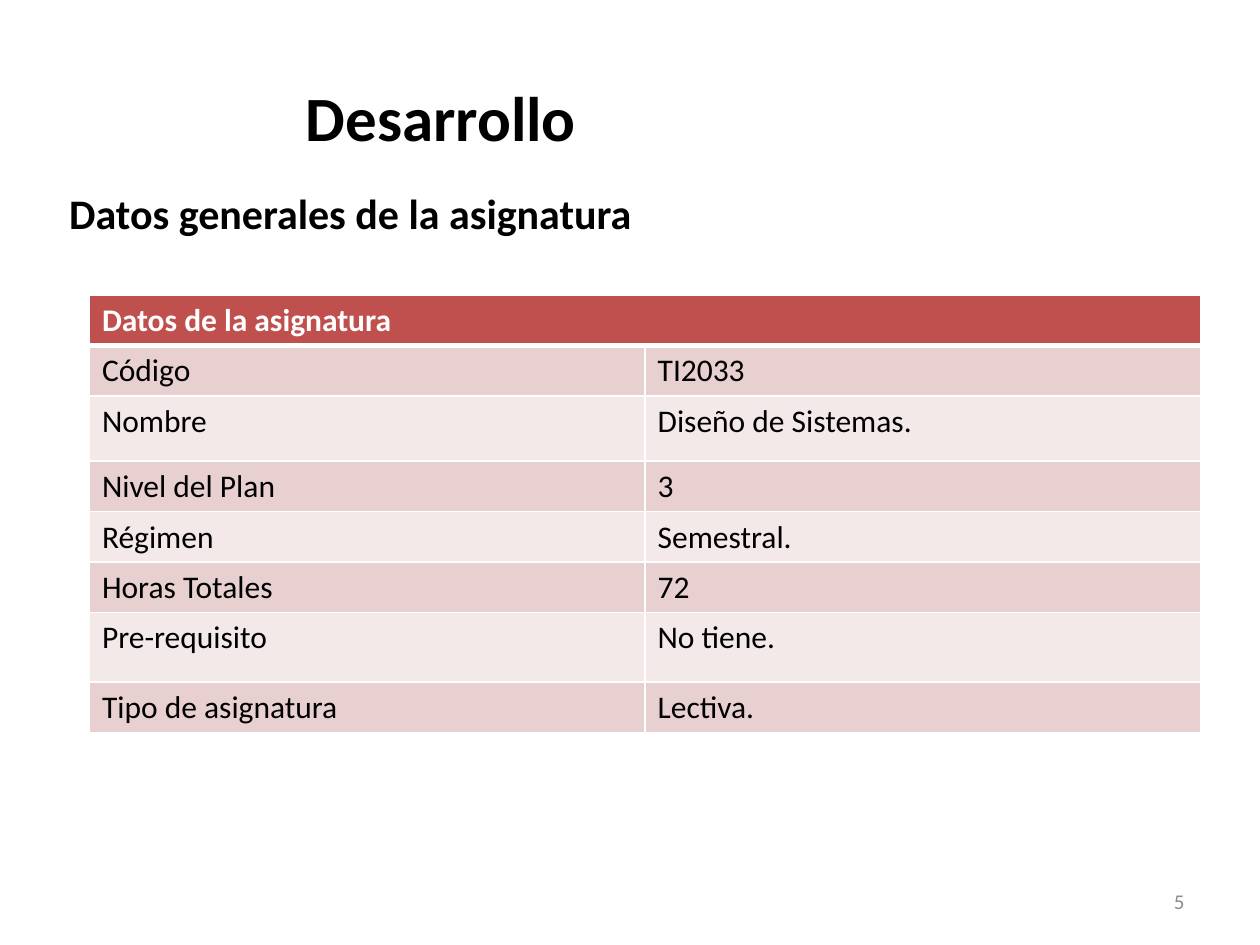
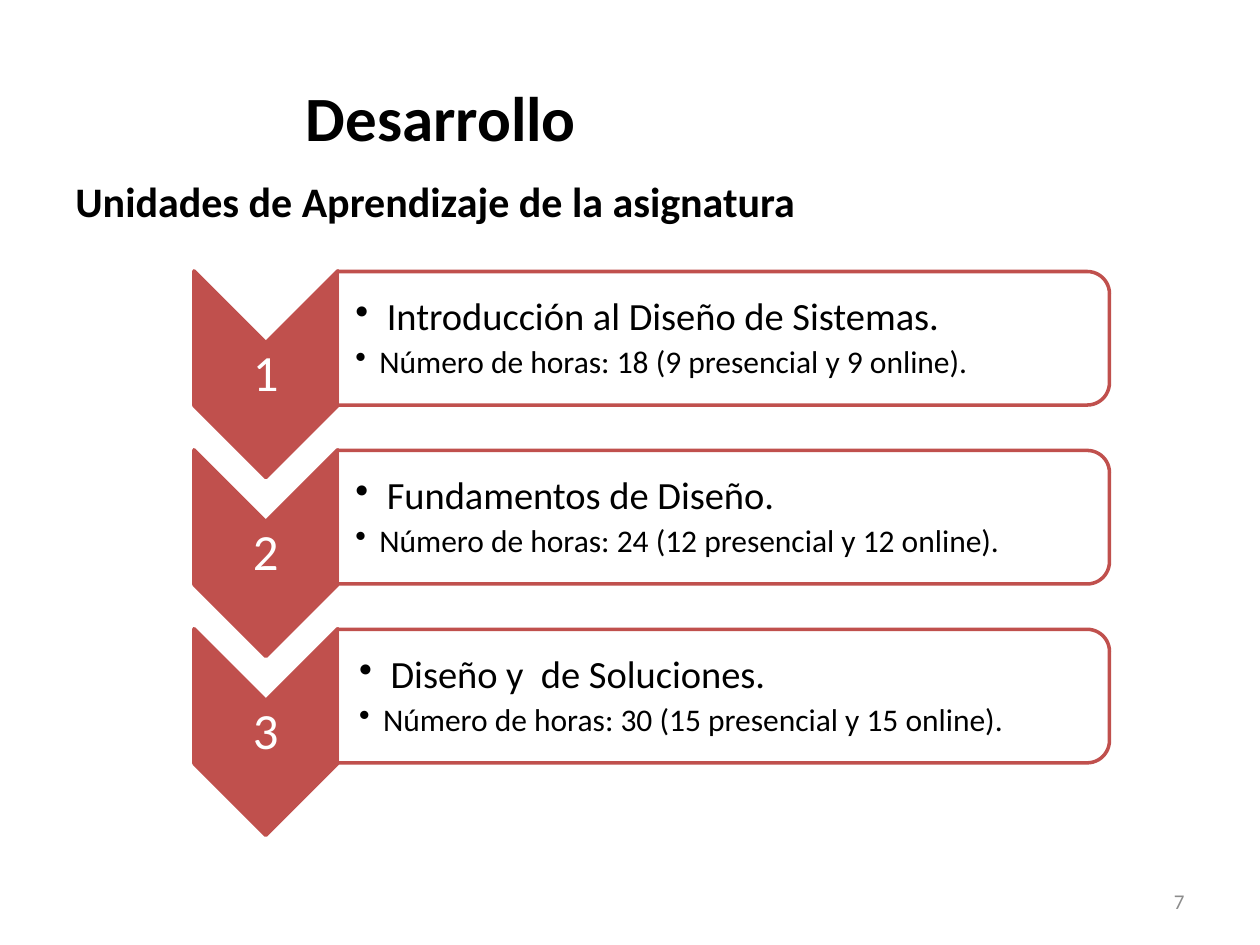
"""Build two course slides: subject data table and learning units."""
import pptx
import pptx.dml.color
import pptx.enum.shapes
import pptx.enum.text
import pptx.oxml
import pptx.oxml.ns
import pptx.util
from lxml import etree

Inches = pptx.util.Inches
Pt = pptx.util.Pt
RGBColor = pptx.dml.color.RGBColor
Shape = pptx.enum.shapes.MSO_SHAPE
Align = pptx.enum.text.PP_ALIGN
Anchor = pptx.enum.text.MSO_ANCHOR
qn = pptx.oxml.ns.qn

FONT = "Calibri"
BLACK = RGBColor(0x00, 0x00, 0x00)
WHITE = RGBColor(0xFF, 0xFF, 0xFF)
GREY = RGBColor(0x8C, 0x8C, 0x8C)
RED = RGBColor(0xC0, 0x50, 0x4D)
ROSE = RGBColor(0xE8, 0xD0, 0xD0)
PALE_ROSE = RGBColor(0xF4, 0xE9, 0xE9)

SUBJECT_ROWS = [
    ("Datos de la asignatura", ""),
    ("Código", "TI2033"),
    ("Nombre", "Diseño de Sistemas."),
    ("Nivel del Plan", "3"),
    ("Régimen", "Semestral."),
    ("Horas Totales", "72"),
    ("Pre-requisito", "No tiene."),
    ("Tipo de asignatura", "Lectiva."),
]
ROW_HEIGHTS = [0.4, 0.4, 0.52, 0.4, 0.4, 0.4, 0.55, 0.4]

UNITS = [
    ("Introducción al Diseño de Sistemas.",
     "Número de horas: 18 (9 presencial y 9 online).", 0.14),
    ("Fundamentos de Diseño.",
     "Número de horas: 24 (12 presencial y 12 online).", 0.14),
    ("Diseño y  de Soluciones.",
     "Número de horas: 30 (15 presencial y 15 online).", 0.17),
]
UNIT_STEP = 1.42


def style_paragraph(para, size, color=BLACK, bold=False, align=Align.LEFT):
    """Format a paragraph and all its runs."""
    para.alignment = align
    for span in para.runs:
        span.font.name = FONT
        span.font.size = Pt(size)
        span.font.bold = bold
        span.font.color.rgb = color


def add_text(page, text, place, size, anchor=Anchor.MIDDLE, inset=None, **style):
    """Add a wrapped text box at (left, top, width, height) in inches."""
    box = page.shapes.add_textbox(*map(Inches, place))
    frame = box.text_frame
    frame.word_wrap = True
    frame.vertical_anchor = anchor
    if inset:
        (frame.margin_left, frame.margin_top,
         frame.margin_right, frame.margin_bottom) = map(Inches, inset)
    frame.text = text
    for para in frame.paragraphs:
        style_paragraph(para, size, **style)
    return box


def add_page(deck, subtitle, subtitle_left, subtitle_top, number):
    """Add a blank page with the shared title, subtitle and page number."""
    page = deck.slides.add_slide(deck.slide_layouts[6])
    add_text(page, "Desarrollo", (0.5, 0.3, 6, 1.25), 36,
             bold=True, align=Align.CENTER)
    heading = add_text(page, subtitle, (subtitle_left, subtitle_top, 8.83, 0.7),
                       24, Anchor.BOTTOM, bold=True)
    heading.text_frame.paragraphs[0].space_before = Pt(4.8)
    add_text(page, number, (7.17, 6.95, 2.33, 0.4), 12,
             color=GREY, align=Align.RIGHT)
    return page


def set_borders(cell, top, bottom):
    """Draw white cell borders, with top and bottom widths in points."""
    properties = cell._tc.get_or_add_tcPr()
    for side, width in (("L", 1), ("R", 1), ("T", top), ("B", bottom)):
        line = etree.SubElement(properties, qn(f"a:ln{side}"), w=str(Pt(width)))
        fill = etree.SubElement(line, qn("a:solidFill"))
        etree.SubElement(fill, qn("a:srgbClr"), val=str(WHITE))


def add_subject_table(page):
    """Add the two-column table of subject data."""
    table = page.shapes.add_table(
        len(SUBJECT_ROWS), 2, Inches(0.71), Inches(2.34),
        Inches(8.82), Inches(sum(ROW_HEIGHTS))).table
    for index, (texts, height) in enumerate(zip(SUBJECT_ROWS, ROW_HEIGHTS)):
        header = index == 0
        table.rows[index].height = Inches(height)
        for cell, text in zip(table.rows[index].cells, texts):
            cell.text = text
            style_paragraph(cell.text_frame.paragraphs[0], 18,
                            WHITE if header else BLACK, header)
            set_borders(cell, 3 if index == 1 else 1, 3 if header else 1)
            cell.fill.solid()
            cell.fill.fore_color.rgb = (
                RED if header else ROSE if index % 2 else PALE_ROSE)
    table.cell(0, 0).merge(table.cell(0, 1))


def add_turned_shape(page, kind, place, fill):
    """Add a red-outlined shape turned a quarter clockwise."""
    shape = page.shapes.add_shape(kind, *map(Inches, place))
    shape.rotation = 90
    shape.shadow.inherit = False
    shape.fill.solid()
    shape.fill.fore_color.rgb = fill
    shape.line.color.rgb = RED
    shape.line.width = Pt(2)
    etree.SubElement(shape.line._get_or_add_ln(), qn("a:round"))
    return shape


def set_bullet(para, indent):
    """Give a paragraph a round bullet with a hanging indent in inches."""
    properties = para._p.get_or_add_pPr()
    properties.set("marL", str(Inches(indent)))
    properties.set("indent", str(-Inches(indent)))
    etree.SubElement(properties, qn("a:buChar"), char="•")


def add_unit(page, index, name, hours, left_inset):
    """Add one learning unit: numbered chevron and bulleted panel."""
    offset = index * UNIT_STEP
    add_turned_shape(page, Shape.CHEVRON, (1.29, 2.4 + offset, 1.64, 1.14), RED)
    number = add_text(page, str(index + 1), (1.54, 2.73 + offset, 1.14, 0.49), 29,
                      inset=[0.02] * 4, color=WHITE, align=Align.CENTER)
    number.text_frame.paragraphs[0].line_spacing = 0.9
    number.text_frame.paragraphs[0].space_after = Pt(10)

    panel = add_turned_shape(page, Shape.ROUND_2_SAME_RECTANGLE,
                             (5.21, -0.38 + offset, 1.06, 6.13), WHITE)
    color = panel.fill._xPr.find(qn("a:solidFill"))[0]
    etree.SubElement(color, qn("a:alpha"), val="90000")

    details = add_text(page, f"{name}\n{hours}", (2.68, 2.21 + offset, 6.08, 0.96),
                       18, inset=(left_inset, 0.01, 0.01, 0.01))
    for para, size, indent in zip(details.text_frame.paragraphs,
                                  (22, 18), (0.25, 0.19)):
        style_paragraph(para, size)
        para.line_spacing = 0.9
        para.space_after = Pt(0.18 * size)
        set_bullet(para, indent)


def main():
    """Build and save the deck."""
    deck = pptx.Presentation()
    deck.slide_width = Inches(10)
    deck.slide_height = Inches(7.5)

    page = add_page(deck, "Datos generales de la asignatura", 0.45, 1.24, "5")
    add_subject_table(page)

    page = add_page(deck, "Unidades de Aprendizaje de la asignatura", 0.5, 1.14, "7")
    for index, unit in enumerate(UNITS):
        add_unit(page, index, *unit)

    deck.save("out.pptx")


if __name__ == "__main__":
    main()
